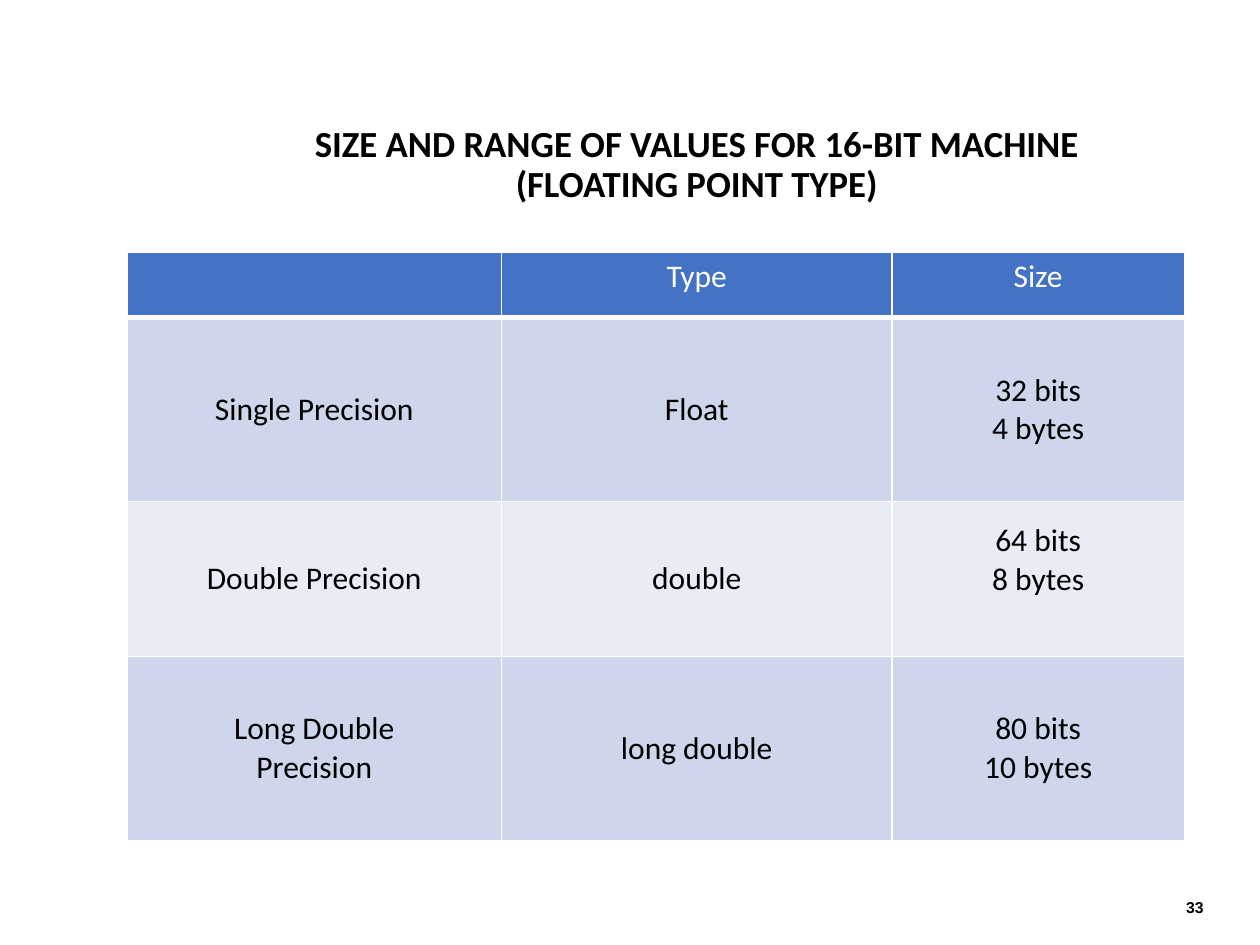
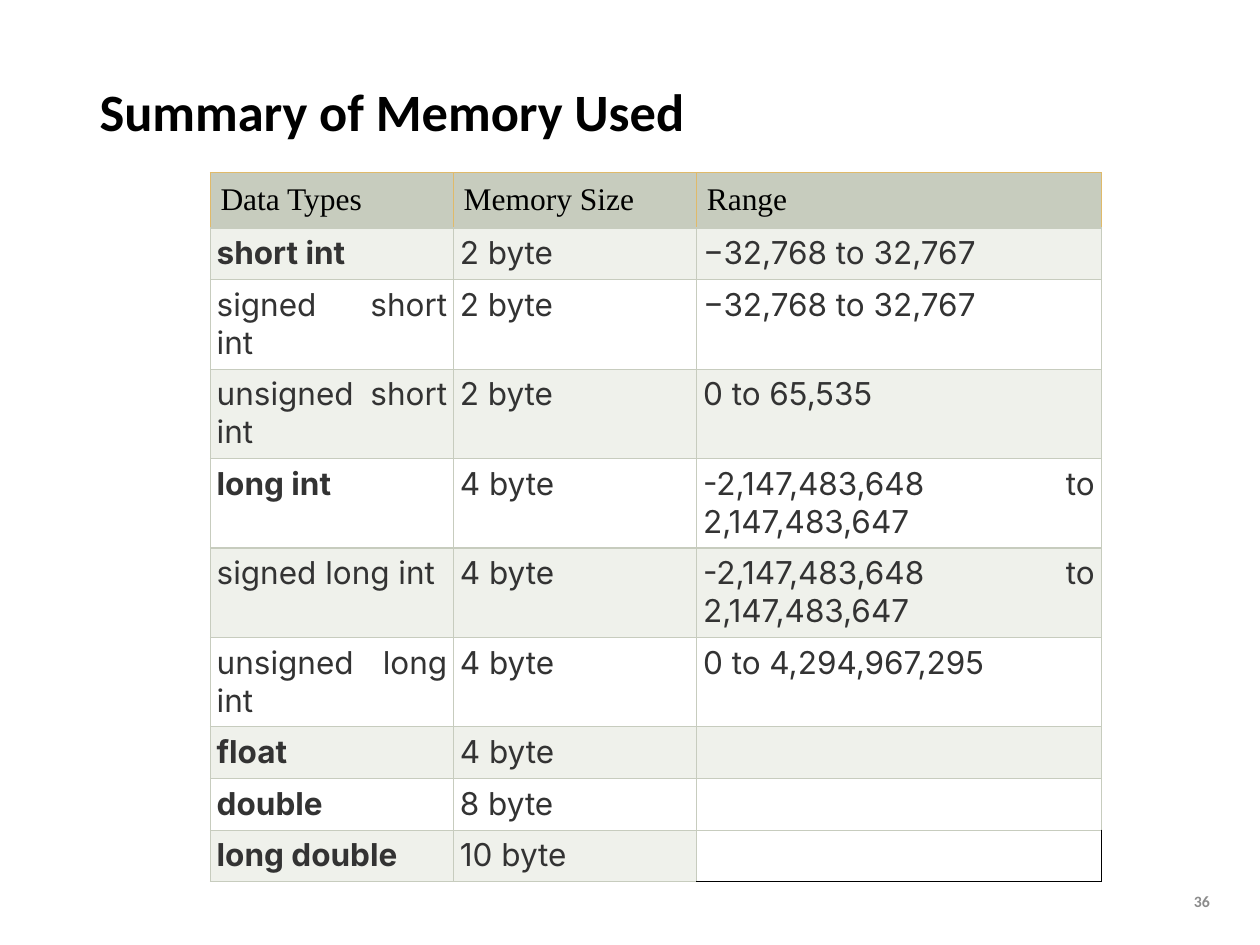
from lxml import etree
from pptx import Presentation
from pptx.dml.color import RGBColor
from pptx.enum.text import MSO_ANCHOR, PP_ALIGN
from pptx.oxml.ns import qn
from pptx.util import Inches, Pt

# Shared colours
BLACK = RGBColor(0x00, 0x00, 0x00)
WHITE = RGBColor(0xFF, 0xFF, 0xFF)
BLUE = RGBColor(0x44, 0x72, 0xC4)
BLUE_BAND = RGBColor(0xCF, 0xD5, 0xEA)
BLUE_LIGHT = RGBColor(0xE9, 0xEB, 0xF5)
SAGE = RGBColor(0xC7, 0xCC, 0xBE)
SAGE_LIGHT = RGBColor(0xEF, 0xF1, 0xEB)
GOLD = RGBColor(0xE0, 0xBA, 0x6A)
CHARCOAL = RGBColor(0x33, 0x33, 0x33)
GREY = RGBColor(0x8C, 0x8C, 0x8C)

# Content: a list inside a row holds the paragraphs of one cell
PRECISION_TITLE = "SIZE AND RANGE OF VALUES FOR 16-BIT MACHINE (FLOATING POINT TYPE)"
PRECISION_ROWS = [
    ("", "Type", "Size"),
    ("Single Precision", "Float", ["32 bits", "4 bytes"]),
    ("Double Precision", "double", ["64 bits", "8 bytes"]),
    (["Long Double", "Precision"], "long double", ["80 bits", "10 bytes"]),
]
MEMORY_TITLE = "Summary of Memory Used"
MEMORY_ROWS = [
    ("Data Types", "Memory Size", "Range"),
    ("short int", "2 byte", "−32,768 to 32,767"),
    ("signed short int", "2 byte", "−32,768 to 32,767"),
    ("unsigned short int", "2 byte", "0 to 65,535"),
    ("long int", "4 byte", "-2,147,483,648 to 2,147,483,647"),
    ("signed long int", "4 byte", "-2,147,483,648 to 2,147,483,647"),
    ("unsigned long int", "4 byte", "0 to 4,294,967,295"),
    ("float", "4 byte", ""),
    ("double", "8 byte", ""),
    ("long double", "10 byte", ""),
]
BASIC_TYPES = {"short int", "long int", "float", "double", "long double"}


def add_run(paragraph, text, size, font, color, bold=False):
    run = paragraph.add_run()
    run.text = text
    run.font.size, run.font.name, run.font.bold = Pt(size), font, bold
    run.font.color.rgb = color


def add_titled_slide(prs, title, box, size, align):
    slide = prs.slides.add_slide(prs.slide_layouts[5])
    heading = slide.shapes.title
    heading.left, heading.top, heading.width, heading.height = map(Inches, box)
    heading.text_frame.vertical_anchor = MSO_ANCHOR.MIDDLE
    paragraph = heading.text_frame.paragraphs[0]
    paragraph.alignment, paragraph.line_spacing = align, 0.9
    add_run(paragraph, title, size, "Calibri", BLACK, True)
    return slide


def add_page_number(slide, number, box, font, color):
    frame = slide.shapes.add_textbox(*map(Inches, box)).text_frame
    frame.word_wrap = True
    frame.vertical_anchor = MSO_ANCHOR.MIDDLE
    frame.paragraphs[0].alignment = PP_ALIGN.RIGHT
    add_run(frame.paragraphs[0], number, 9, font, color, True)


def add_grid(slide, left, top, widths, heights):
    table = slide.shapes.add_table(
        len(heights), len(widths), Inches(left), Inches(top),
        Inches(sum(widths)), Inches(sum(heights))).table
    table.first_row = table.horz_banding = False
    for column, width in zip(table.columns, widths):
        column.width = Inches(width)
    for row, height in zip(table.rows, heights):
        row.height = Inches(height)
    return table


def set_borders(cell, **sides):
    """Each side (L, R, T, B) is a colour and a width in points."""
    properties = cell._tc.get_or_add_tcPr()
    for side in "LRTB":
        color, width = sides[side]
        line = etree.SubElement(properties, qn("a:ln" + side), w=str(Pt(width)))
        fill = etree.SubElement(line, qn("a:solidFill"))
        etree.SubElement(fill, qn("a:srgbClr"), val=str(color))


def fill_cell(cell, color):
    if color is None:
        cell.fill.background()
    else:
        cell.fill.solid()
        cell.fill.fore_color.rgb = color


def set_margins(cell, side, end):
    cell.margin_left = cell.margin_right = Inches(side)
    cell.margin_top = cell.margin_bottom = Inches(end)


def write_cell(cell, content, align, font, color, bold=False):
    lines = content if isinstance(content, list) else [content]
    for i, line in enumerate(lines):
        paragraph = cell.text_frame.paragraphs[0] if i == 0 else cell.text_frame.add_paragraph()
        paragraph.alignment = align
        if line:
            add_run(paragraph, line, 18, font, color, bold)


def build_precision_slide(prs):
    slide = add_titled_slide(prs, PRECISION_TITLE, (2.31, 0.94, 6.44, 0.75), 21, PP_ALIGN.CENTER)
    add_page_number(slide, "33", (6.03, 7.05, 3.62, 0.3), "Arial", BLACK)
    table = add_grid(slide, 1.01, 2, (2.97, 3.1, 2.32), (0.52, 1.46, 1.23, 1.46))
    thin, thick = (WHITE, 1), (WHITE, 3)
    for r, row in enumerate(PRECISION_ROWS):
        header = r == 0
        for c, content in enumerate(row):
            cell = table.cell(r, c)
            set_borders(cell, L=thin, R=thin, T=thick if r == 1 else thin,
                        B=thick if header else thin)
            fill_cell(cell, BLUE if header else BLUE_BAND if r % 2 else BLUE_LIGHT)
            set_margins(cell, 0.07, 0.04)
            cell.vertical_anchor = MSO_ANCHOR.TOP if header else MSO_ANCHOR.MIDDLE
            write_cell(cell, content, PP_ALIGN.CENTER, "Calibri", WHITE if header else BLACK)
    # The double precision size sits one line higher
    table.cell(2, 2).margin_bottom = Inches(0.34)


def build_memory_slide(prs):
    slide = add_titled_slide(prs, MEMORY_TITLE, (0.69, 0.56, 9.02, 0.69), 30, PP_ALIGN.LEFT)
    one_line, two_lines = 0.41, 0.71
    heights = [0.44, one_line] + [two_lines] * 5 + [one_line] * 3
    table = add_grid(slide, 1.67, 1.37, (1.93, 1.93, 3.21), heights)
    sage, gold, black = (SAGE, 0.75), (GOLD, 0.75), (BLACK, 0.75)
    for r, row in enumerate(MEMORY_ROWS):
        header = r == 0
        for c, content in enumerate(row):
            cell = table.cell(r, c)
            open_corner = (r, c) == (len(MEMORY_ROWS) - 1, 2)
            edge = gold if header else sage
            outer = black if open_corner else edge
            set_borders(cell, L=edge, T=edge, R=outer, B=sage if header else outer)
            fill_cell(cell, None if open_corner else SAGE if header
                      else SAGE_LIGHT if r % 2 else WHITE)
            margin = 0.08 if header else 0.05
            set_margins(cell, margin, margin)
            if header:
                write_cell(cell, content, PP_ALIGN.LEFT, "Times New Roman", BLACK)
            else:
                write_cell(cell, content, PP_ALIGN.JUSTIFY, "Inter", CHARCOAL,
                           content in BASIC_TYPES)
    add_page_number(slide, "36", (9.31, 6.95, 0.39, 0.4), "Calibri", GREY)


def main():
    prs = Presentation()
    prs.slide_width, prs.slide_height = Inches(10), Inches(7.5)
    build_precision_slide(prs)
    build_memory_slide(prs)
    prs.save("out.pptx")


if __name__ == "__main__":
    main()
